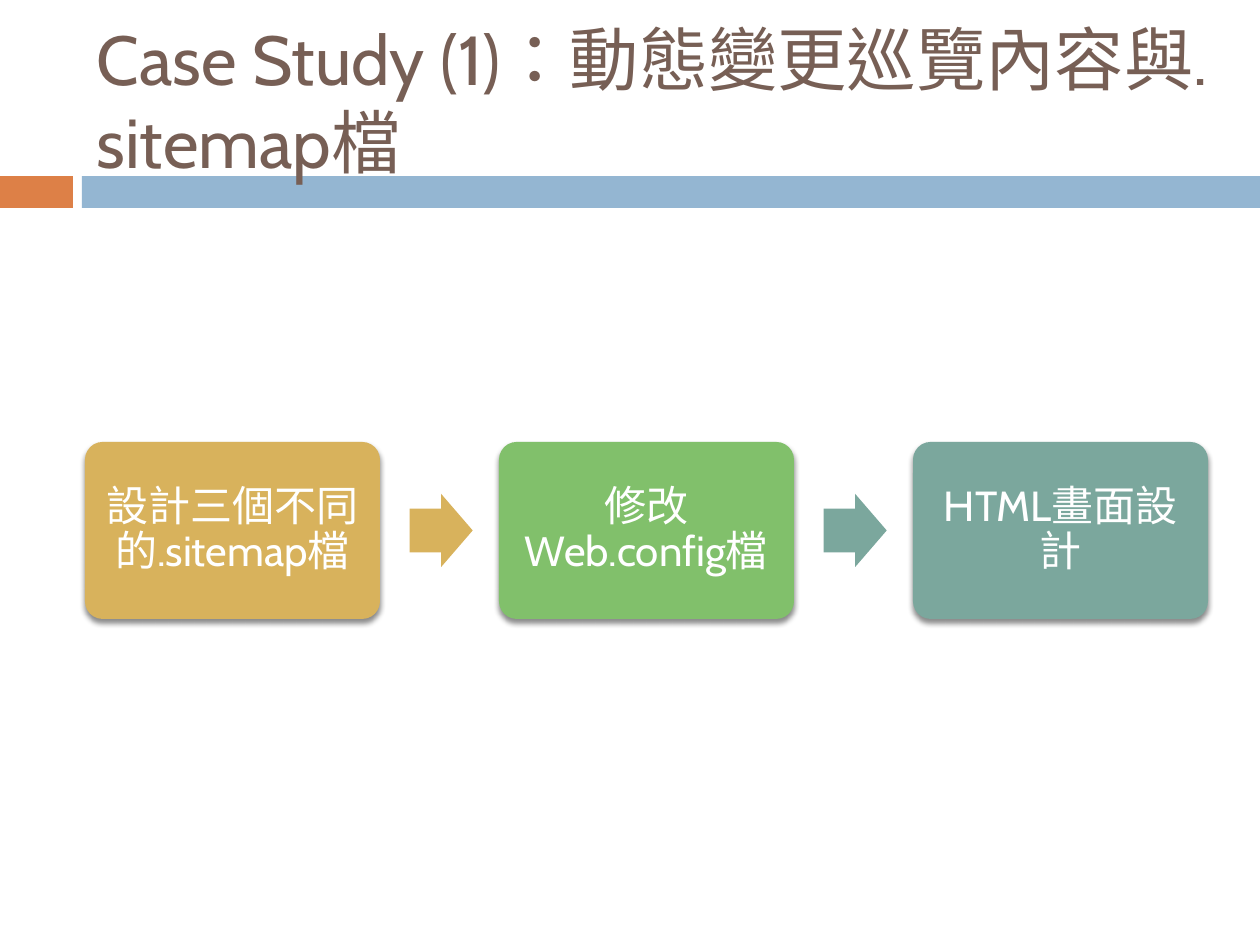
from lxml import etree
from pptx import Presentation
from pptx import util as u
from pptx.dml.color import RGBColor
from pptx.enum import lang, shapes, text

PX_PER_INCH = 126
FONT = "Cabin"
COLORS = {
    "title": "775F55",
    "accent": "DD8047",
    "band": "94B6D2",
    "gold": "D8B25C",
    "green": "81C06B",
    "teal": "7BA79D",
    "white": "FFFFFF",
}
STEPS = [
    ("設計三個不同的.sitemap檔", "gold"),
    ("修改Web.config檔", "green"),
    ("HTML畫面設計", "teal"),
]
ARROW_COLORS = ["gold", "teal"]
DRAWING_NS = "http://schemas.openxmlformats.org/drawingml/2006/main"
SHADOW = f"""<a:effectLst xmlns:a="{DRAWING_NS}">
  <a:outerShdw blurRad="38100" dist="30480" dir="5400000" rotWithShape="0">
    <a:srgbClr val="000000"><a:alpha val="45000"/></a:srgbClr>
  </a:outerShdw>
</a:effectLst>"""


def px(length):
    return u.Emu(round(length * u.Inches(1) / PX_PER_INCH))


def set_all(target, values):
    for name, value in values.items():
        setattr(target, name, value)


def add_filled(slide, kind, box, color, adjustments=()):
    """Add a flat preset shape; box is left, top, width, height in px."""
    shape = slide.shapes.add_shape(kind, *map(px, box))
    shape.shadow.inherit = False
    shape.fill.solid()
    shape.fill.fore_color.rgb = RGBColor.from_string(COLORS[color])
    shape.line.fill.background()
    for index, value in enumerate(adjustments):
        shape.adjustments[index] = value
    return shape


def write(shape, wording, size, color, frame_format, paragraph_format):
    frame = shape.text_frame
    set_all(frame, {
        "word_wrap": True,
        "auto_size": text.MSO_AUTO_SIZE.NONE,
        "vertical_anchor": text.MSO_ANCHOR.MIDDLE,
        **frame_format,
    })
    paragraph = frame.paragraphs[0]
    set_all(paragraph, paragraph_format)
    run = paragraph.add_run()
    run.text = wording
    set_all(run.font, {
        "name": FONT,
        "size": u.Pt(size),
        "language_id": lang.MSO_LANGUAGE_ID.TRADITIONAL_CHINESE,
    })
    run.font.color.rgb = RGBColor.from_string(COLORS[color])


def add_header(slide, box):
    left, top, width, height = box
    title = slide.shapes.title
    title_box = (left + 84, top + 31, 1124, 136)
    set_all(title, dict(zip(("left", "top", "width", "height"), map(px, title_box))))
    write(title, "Case Study (1)：動態變更巡覽內容與.sitemap檔", 39.6, "title", {},
          {"alignment": text.PP_ALIGN.LEFT})

    bar_height, band_left = 32, 82
    bar_top = top + height - bar_height
    bars = [
        ((left, bar_top, 73, bar_height), "accent"),
        ((left + band_left, bar_top, width - band_left, bar_height), "band"),
    ]
    for bar_box, color in bars:
        bar = add_filled(slide, shapes.MSO_SHAPE.RECTANGLE, bar_box, color)
        title.element.addprevious(bar.element)  # keep the title in front


def add_step(slide, box, wording, color):
    card = add_filled(slide, shapes.MSO_SHAPE.ROUNDED_RECTANGLE, box, color, [0.1])
    properties = card.element.spPr
    properties.remove(properties.find(f"{{{DRAWING_NS}}}effectLst"))
    properties.append(etree.fromstring(SHADOW))
    margins = dict.fromkeys(
        ("margin_left", "margin_right", "margin_top", "margin_bottom"), px(12))
    write(card, wording, 24, "white", margins, {
        "alignment": text.PP_ALIGN.CENTER,
        "line_spacing": 0.9,
        "space_after": u.Pt(8.4),
    })


def add_process(slide, box):
    """Spread the steps evenly over the box, with an arrow in each gap."""
    left, top, width, height = box
    card_width, arrow_width, arrow_height = 295, 63, 73
    pitch = (width - card_width) / (len(STEPS) - 1)
    gap = pitch - card_width
    for index, (wording, color) in enumerate(STEPS):
        card_left = left + index * pitch
        add_step(slide, (card_left, top, card_width, height), wording, color)
        if index < len(ARROW_COLORS):
            arrow_box = (card_left + card_width + gap / 4,
                         top + (height - arrow_height) / 2,
                         arrow_width, arrow_height)
            add_filled(slide, shapes.MSO_SHAPE.RIGHT_ARROW, arrow_box,
                       ARROW_COLORS[index], [0.6, 0.5])


def main():
    deck = Presentation()
    set_all(deck, {"slide_width": px(1260), "slide_height": px(945)})
    slide = deck.slides.add_slide(deck.slide_layouts[5])
    add_header(slide, (0, 0, 1260, 208))
    add_process(slide, (85, 442, 1123, 177))
    deck.save("out.pptx")


if __name__ == "__main__":
    main()
